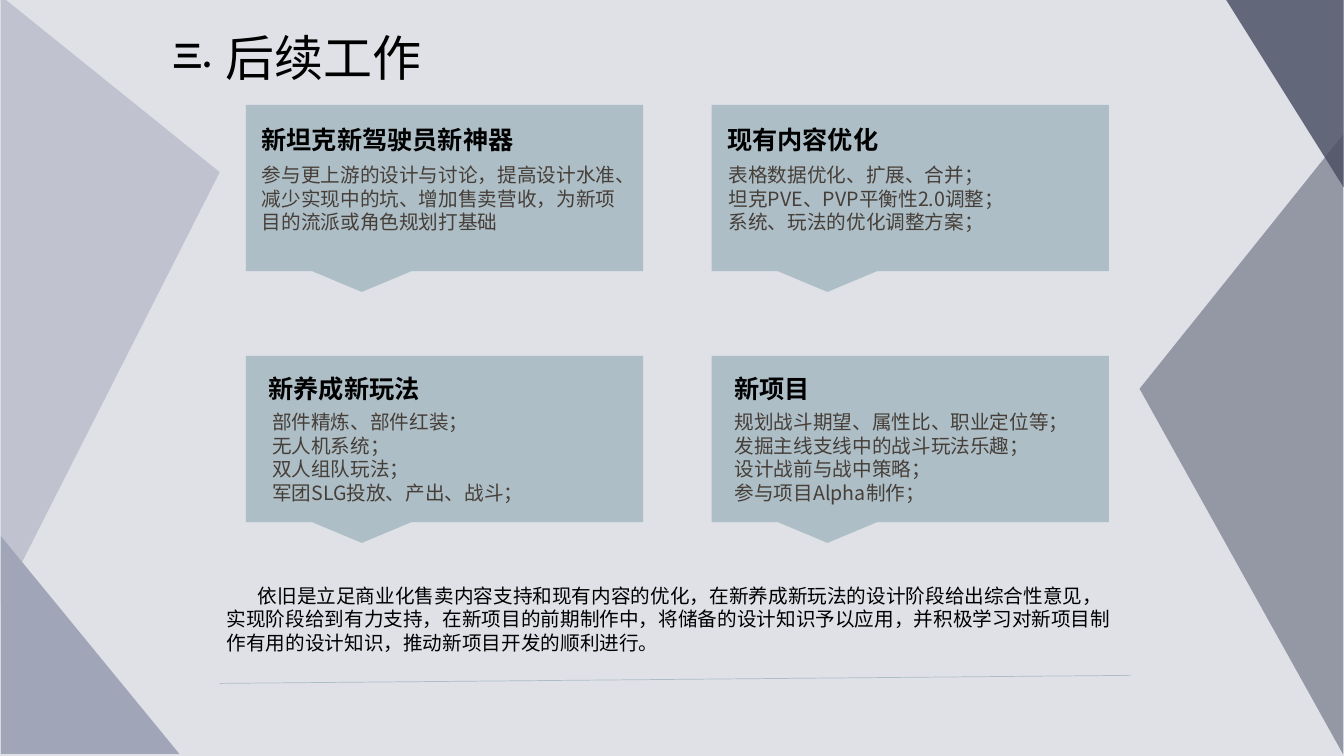
"""Build the follow-up work slide: four callout cards between shaded triangles."""
from dataclasses import dataclass

from lxml.etree import SubElement
from pptx import Presentation
from pptx.dml.color import RGBColor
from pptx.enum.lang import MSO_LANGUAGE_ID
from pptx.enum.shapes import MSO_CONNECTOR, MSO_SHAPE
from pptx.enum.text import MSO_AUTO_SIZE
from pptx.oxml.ns import qn
from pptx.shapes.autoshape import Shape
from pptx.slide import Slide
from pptx.util import Inches, Pt

COLS, ROWS = 133.33, 75


@dataclass(frozen=True)
class Theme:
    font: str = "Noto Sans CJK SC"
    back: str = "DFE1E7"
    pale: str = "A0A5B8"
    dark: str = "4B5064"
    card: str = "ADBEC6"
    ink: str = "000000"
    soft: str = "463E38"
    title: int = 35
    mark: int = 22
    head: int = 18
    body: int = 14
    rule: float = 0.5


@dataclass(frozen=True)
class Box:
    col: float
    row: float
    wide: float
    high: float


@dataclass(frozen=True)
class Wedge:
    box: Box
    turn: int
    peak: float
    fill: str
    alpha: int = 100


@dataclass(frozen=True)
class Card:
    col: int
    row: int
    head: str
    lines: tuple[str, ...]
    shift: float
    wide: float


THEME = Theme()
WEDGES = (
    Wedge(Box(0.1, 53.2, 17.7, 21.6), 0, 0, THEME.pale),
    Wedge(Box(-19.2, 18.9, 60.3, 21.7), 90, 0.29, THEME.pale, 49),
    Wedge(Box(121.4, -0.4, 11.9, 19), 180, 0, THEME.dark, 84),
    Wedge(Box(92.4, 34, 61.5, 20.2), 270, 0.59, THEME.dark, 50),
)
CARDS = (
    Card(0, 0, "新坦克新驾驶员新神器",
         ("参与更上游的设计与讨论，提高设计水准、减少实现中的坑、增加售卖营收，"
          "为新项目的流派或角色规划打基础",), 0.6, 37.8),
    Card(1, 0, "现有内容优化",
         ("表格数据优化、扩展、合并；", "坦克PVE、PVP平衡性2.0调整；",
          "系统、玩法的优化调整方案；"), 0.7, 37.4),
    Card(0, 1, "新养成新玩法",
         ("部件精炼、部件红装；", "无人机系统；", "双人组队玩法；",
          "军团SLG投放、产出、战斗；"), 1.6, 29.5),
    Card(1, 1, "新项目",
         ("规划战斗期望、属性比、职业定位等；", "发掘主线支线中的战斗玩法乐趣；",
          "设计战前与战中策略；", "参与项目Alpha制作；"), 1.3, 34.2),
)
CLOSING = ("依旧是立足商业化售卖内容支持和现有内容的优化，在新养成新玩法的设计阶段给出综合性意见，"
           "实现阶段给到有力支持，在新项目的前期制作中，将储备的设计知识予以应用，"
           "并积极学习对新项目制作有用的设计知识，推动新项目开发的顺利进行。")


def grid(*units: float) -> list[int]:
    """Turn grid units into lengths."""
    return [Inches(unit / 10) for unit in units]


def place(box: Box) -> list[int]:
    """Give left, top, width and height of a box."""
    return grid(box.col, box.row, box.wide, box.high)


def write(slide: Slide, box: Box, *lines: str, size: int, color: str = THEME.ink,
          bold: bool = False, indent: float = 0) -> None:
    """Write lines of text in a box."""
    frame = slide.shapes.add_textbox(*place(box)).text_frame
    frame.word_wrap = True
    frame.auto_size = MSO_AUTO_SIZE.SHAPE_TO_FIT_TEXT
    for spot, line in enumerate(lines):
        para = frame.add_paragraph() if spot else frame.paragraphs[0]
        if indent:
            para._p.get_or_add_pPr().set("indent", str(grid(indent)[0]))
        run = para.add_run()
        run.text = line
        font = run.font
        font.size, font.bold, font.name = Pt(size), bold, THEME.font
        font.language_id = MSO_LANGUAGE_ID.SIMPLIFIED_CHINESE
        font.color.rgb = RGBColor.from_string(color)
        SubElement(run._r.get_or_add_rPr(), qn("a:ea")).set("typeface", THEME.font)


def paint(slide: Slide, kind: MSO_SHAPE, box: Box, color: str) -> Shape:
    """Add a plain filled shape."""
    shape = slide.shapes.add_shape(kind, *place(box))
    shape.shadow.inherit = False
    shape.fill.solid()
    shape.fill.fore_color.rgb = RGBColor.from_string(color)
    shape.line.fill.background()
    return shape


def draw_wedge(slide: Slide, wedge: Wedge) -> None:
    """Draw one shaded triangle."""
    shape = paint(slide, MSO_SHAPE.ISOSCELES_TRIANGLE, wedge.box, wedge.fill)
    shape.adjustments[0] = wedge.peak
    shape.rotation = wedge.turn
    if wedge.alpha < 100:
        color = shape._element.spPr.find(qn("a:solidFill"))[0]
        SubElement(color, qn("a:alpha")).set("val", str(wedge.alpha * 1000))


def draw_card(slide: Slide, card: Card) -> None:
    """Draw one callout with its heading and lines."""
    left, top = 24.4 + 46.2 * card.col, 10.4 + 24.9 * card.row
    paint(slide, MSO_SHAPE.RECTANGULAR_CALLOUT, Box(left, top, 39.4, 16.5), THEME.card)
    inset = 0.55 + 0.7 * card.row
    write(slide, Box(left + inset, top + 1.4 - 0.2 * card.row, 29.5, 4), card.head,
          size=THEME.head, bold=True)
    high = 10.4 if len(card.lines) > 3 else 8.1
    write(slide, Box(left + card.shift, top + 5.3 - 0.4 * card.row, card.wide, high),
          *card.lines, size=THEME.body, color=THEME.soft)


def draw_rule(slide: Slide) -> None:
    """Draw the thin line at the foot."""
    rule = slide.shapes.add_connector(MSO_CONNECTOR.STRAIGHT, *grid(21.8, 67.8, 112.2, 67))
    rule.line.color.rgb = RGBColor.from_string(THEME.card)
    rule.line.width = Pt(THEME.rule)
    SubElement(rule._element.spPr, qn("a:effectLst"))


def main() -> None:
    """Build and save the slide."""
    deck = Presentation()
    deck.slide_width, deck.slide_height = grid(COLS, ROWS)
    slide = deck.slides.add_slide(deck.slide_layouts[6])
    slide.background.fill.solid()
    slide.background.fill.fore_color.rgb = RGBColor.from_string(THEME.back)
    for wedge in WEDGES:
        draw_wedge(slide, wedge)
    draw_rule(slide)
    write(slide, Box(21.4, 2.2, 22.4, 6.9), "后续工作", size=THEME.title)
    write(slide, Box(16.1, 3.2, 6, 4.7), "三.", size=THEME.mark, bold=True)
    for card in CARDS:
        draw_card(slide, card)
    write(slide, Box(21.5, 57.4, 90.4, 8.1), CLOSING, size=THEME.body, indent=3.1)
    deck.save("out.pptx")


if __name__ == "__main__":
    main()
